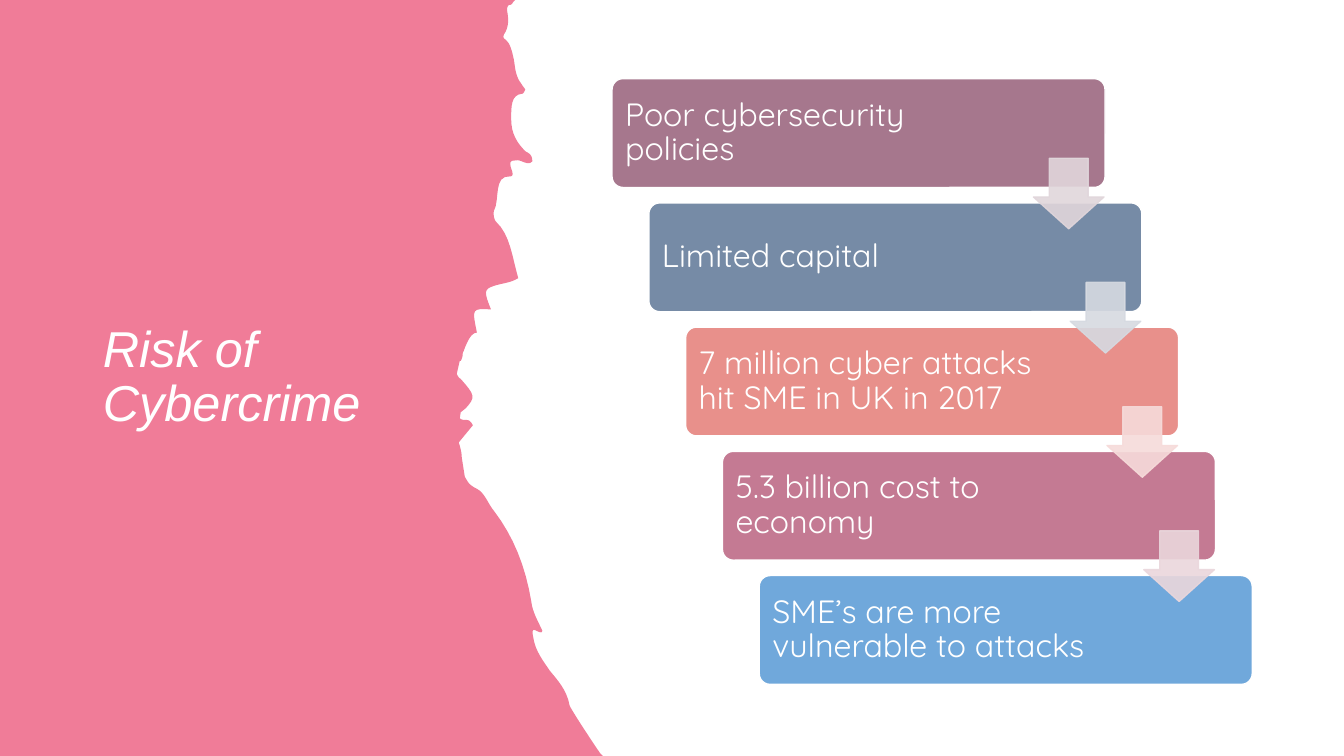
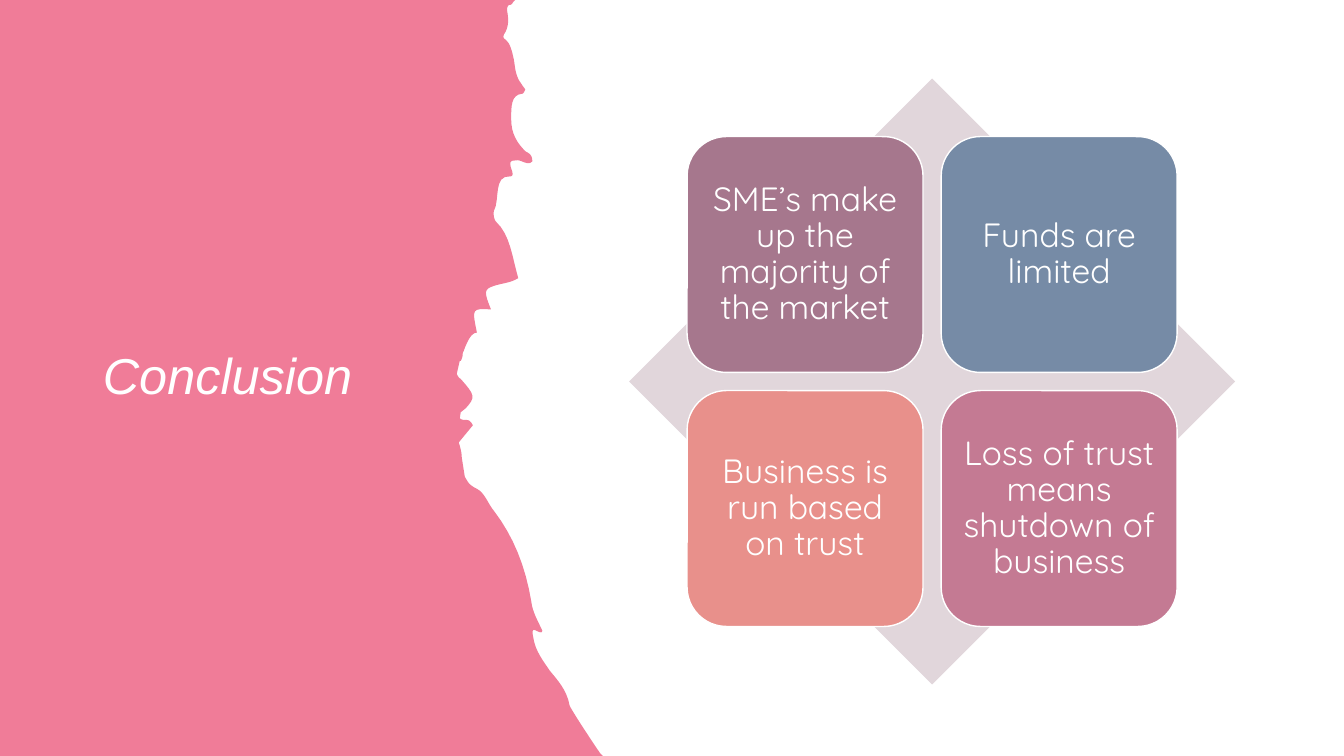
from dataclasses import dataclass

from pptx import Presentation
from pptx.dml.color import RGBColor
from pptx.enum.shapes import MSO_SHAPE as Shape
from pptx.enum.text import MSO_ANCHOR as Anchor, MSO_AUTO_SIZE as AutoSize, PP_ALIGN as Align
from pptx.oxml.ns import qn
from pptx.util import Inches, Pt
from lxml.etree import SubElement


@dataclass(frozen=True)
class Theme:
    panel: str = "F07C98"
    white: str = "FFFFFF"
    accents: tuple = ("A6778D", "768BA6", "E8908B", "C47A93", "70A8DB")
    tints: tuple = ("E1D6DB", "D6DAE1", "F6DBDA", "EAD7DC")
    title_font: str = "Arial"
    body_font: str = "Quicksand"
    title_size: int = 36
    step_size: int = 23
    tile_size: int = 24
    line_spacing: float = 0.9
    outline: int = 1


@dataclass(frozen=True)
class Box:
    left: float
    top: float
    width: float
    height: float

    def emu(self):
        return [Inches(v) for v in (self.left, self.top, self.width, self.height)]


THEME = Theme()
PAGE = Box(0, 0, 13.33, 7.5)
TITLE = Box(0.92, 0.78, 3.5, 5.94)
STEPS = Box(6.07, 0.78, 6.35, 6.01)
MATRIX = Box(6.24, 0.78, 6.01, 6.01)

# Torn edge from top to bottom, in inches: two numbers are a line, six a Bezier curve
TORN_EDGE = [
    (5.11, 0), (5.09, 0.02),
    (5.08, 0.04, 5.07, 0.05, 5.05, 0.05), (5.03, 0.06, 5.03, 0.08, 5.03, 0.11),
    (5.05, 0.21, 5.04, 0.28, 5, 0.34), (4.99, 0.36, 4.99, 0.38, 5.01, 0.39),
    (5.03, 0.41, 5.05, 0.43, 5.06, 0.46), (5.08, 0.51, 5.09, 0.56, 5.1, 0.61),
    (5.11, 0.69, 5.12, 0.77, 5.17, 0.83), (5.18, 0.85, 5.2, 0.87, 5.21, 0.89),
    (5.2, 0.91, 5.19, 0.93, 5.18, 0.93), (5.07, 0.94, 5.07, 1.05, 5.07, 1.18),
    (5.07, 1.33, 5.13, 1.42, 5.21, 1.5), (5.24, 1.52, 5.28, 1.53, 5.28, 1.6),
    (5.24, 1.65, 5.18, 1.59, 5.13, 1.59), (5.09, 1.6, 5.03, 1.57, 5.08, 1.7),
    (5.09, 1.74, 5.08, 1.75, 5.06, 1.75), (4.89, 1.74, 4.96, 1.98, 4.9, 2.09),
    (4.89, 2.12, 4.9, 2.18, 4.92, 2.2), (5.06, 2.33, 5.08, 2.55, 5.14, 2.76),
    (5.06, 2.81, 4.97, 2.81, 4.89, 2.84), (4.8, 2.87, 4.8, 2.9, 4.87, 3.07),
    (4.68, 3.06, 4.68, 3.06, 4.73, 3.3), (4.68, 3.3, 4.64, 3.37, 4.6, 3.48),
    (4.59, 3.5), (4.59, 3.54, 4.58, 3.56, 4.57, 3.58),
    (4.56, 3.58), (4.53, 3.71), (4.54, 3.73, 4.55, 3.75, 4.57, 3.76),
    (4.71, 3.92, 4.72, 3.94, 4.62, 4.05), (4.57, 4.09), (4.56, 4.15),
    (4.6, 4.19, 4.65, 4.13, 4.69, 4.22), (4.55, 4.39),
    (4.57, 4.45, 4.58, 4.5, 4.58, 4.54), (4.61, 4.73), (4.64, 4.78),
    (4.66, 4.81, 4.69, 4.83, 4.73, 4.85), (4.81, 4.89, 4.84, 5, 4.9, 5.07),
    (5.09, 5.32, 5.21, 5.61, 5.27, 5.97), (5.28, 6.07, 5.34, 6.17, 5.38, 6.26),
    (5.36, 6.32, 5.25, 6.16, 5.29, 6.33), (5.31, 6.46, 5.39, 6.56, 5.45, 6.65),
    (5.53, 6.75, 5.62, 6.84, 5.65, 7), (5.65, 7.01, 5.76, 7.19, 5.95, 7.47),
    (5.98, 7.5),
]


def trace(segments, parts=8):
    """Turn lines and cubic curves into a list of points."""
    points = []
    for segment in segments:
        if len(segment) == 2:
            points.append(segment)
            continue
        start, (ax, ay, bx, by, cx, cy) = points[-1], segment
        for i in range(1, parts + 1):
            t = i / parts
            u = 1 - t
            points.append(tuple(
                u**3 * p + 3 * u * u * t * a + 3 * u * t * t * b + t**3 * c
                for p, a, b, c in zip(start, (ax, bx)[:0] or (ax, ay), (bx, by), (cx, cy))))
    return points


def paint(shape, fill, line=None, alpha=None):
    shape.shadow.inherit = False
    shape.fill.solid()
    shape.fill.fore_color.rgb = RGBColor.from_string(fill)
    if line:
        shape.line.color.rgb = RGBColor.from_string(line)
        shape.line.width = Pt(THEME.outline)
    else:
        shape.line.fill.background()
    if alpha:
        for color in shape.element.spPr.iter(qn("a:srgbClr")):
            SubElement(color, qn("a:alpha"), val=str(alpha * 1000))


def write(shape, text, font, size, align=Align.LEFT, italic=False):
    frame = shape.text_frame
    frame.word_wrap = True
    frame.auto_size = AutoSize.NONE
    frame.vertical_anchor = Anchor.MIDDLE
    paragraph = frame.paragraphs[0]
    paragraph.alignment = align
    paragraph.line_spacing = THEME.line_spacing
    run = paragraph.add_run()
    run.text = text
    run.font.name = font
    run.font.size = Pt(size)
    run.font.italic = italic
    run.font.color.rgb = RGBColor.from_string(THEME.white)


def add_card(slide, box, text, fill, size, corner, align=Align.LEFT, right_inset=0.1):
    card = slide.shapes.add_shape(Shape.ROUNDED_RECTANGLE, *box.emu())
    card.adjustments[0] = corner
    paint(card, fill, THEME.white)
    write(card, text, THEME.body_font, size, align)
    frame = card.text_frame
    frame.margin_left = frame.margin_top = frame.margin_bottom = Inches(0.1)
    frame.margin_right = Inches(right_inset)


def add_torn_slide(deck, heading):
    """Slide with the title on a torn panel at the left."""
    slide = deck.slides.add_slide(deck.slide_layouts[5])
    title = slide.shapes.title
    title.left, title.top, title.width, title.height = TITLE.emu()
    write(title, heading, THEME.title_font, THEME.title_size, italic=True)

    # Torn panel, behind the title
    edge = [(Inches(x), Inches(y)) for x, y in trace(TORN_EDGE)]
    outline = slide.shapes.build_freeform(0, 0)
    outline.add_line_segments(edge + [(0, Inches(PAGE.height))], close=True)
    panel = outline.convert_to_shape()
    paint(panel, THEME.panel)
    title.element.addprevious(panel.element)
    return slide


def add_staircase(slide, box, steps):
    """Steps that descend to the right, joined by arrows."""
    width, height, arrow_size = 4.89, 1.08, 0.7
    shift = (box.width - width) / (len(steps) - 1)
    drop = (box.height - height) / (len(steps) - 1)
    stairs = [Box(box.left + i * shift, box.top + i * drop, width, height)
              for i in range(len(steps))]
    for stair, text, fill in zip(stairs, steps, THEME.accents):
        add_card(slide, stair, text, fill, THEME.step_size, 0.1, right_inset=1.17)

    # Arrows from each step to the next
    for stair, tint in zip(stairs[:-1], THEME.tints):
        spot = Box(stair.left + 4.18, stair.top + 0.79, arrow_size, arrow_size)
        arrow = slide.shapes.add_shape(Shape.DOWN_ARROW, *spot.emu())
        arrow.adjustments[0], arrow.adjustments[1] = 0.55, 0.45
        paint(arrow, tint, tint, alpha=90)


def add_matrix(slide, box, points):
    """Two by two tiles centred on a diamond."""
    diamond = slide.shapes.add_shape(Shape.DIAMOND, *box.emu())
    paint(diamond, THEME.tints[0])

    # Tiles
    side, pitch = 2.34, 2.52
    margin = (box.width - side - pitch) / 2
    for i, (text, fill) in enumerate(zip(points, THEME.accents)):
        row, column = divmod(i, 2)
        tile = Box(box.left + margin + column * pitch, box.top + margin + row * pitch, side, side)
        add_card(slide, tile, text, fill, THEME.tile_size, 0.1667, Align.CENTER)


deck = Presentation()
deck.slide_width, deck.slide_height = Inches(PAGE.width), Inches(PAGE.height)

add_staircase(add_torn_slide(deck, "Risk of Cybercrime"), STEPS, [
    "Poor cybersecurity policies",
    "Limited capital",
    "7 million cyber attacks hit SME in UK in 2017",
    "5.3 billion cost to economy",
    "SME’s are more vulnerable to attacks",
])
add_matrix(add_torn_slide(deck, "Conclusion"), MATRIX, [
    "SME’s make up the majority of the market",
    "Funds are limited",
    "Business is run based on trust",
    "Loss of trust means shutdown of business",
])

deck.save("out.pptx")
